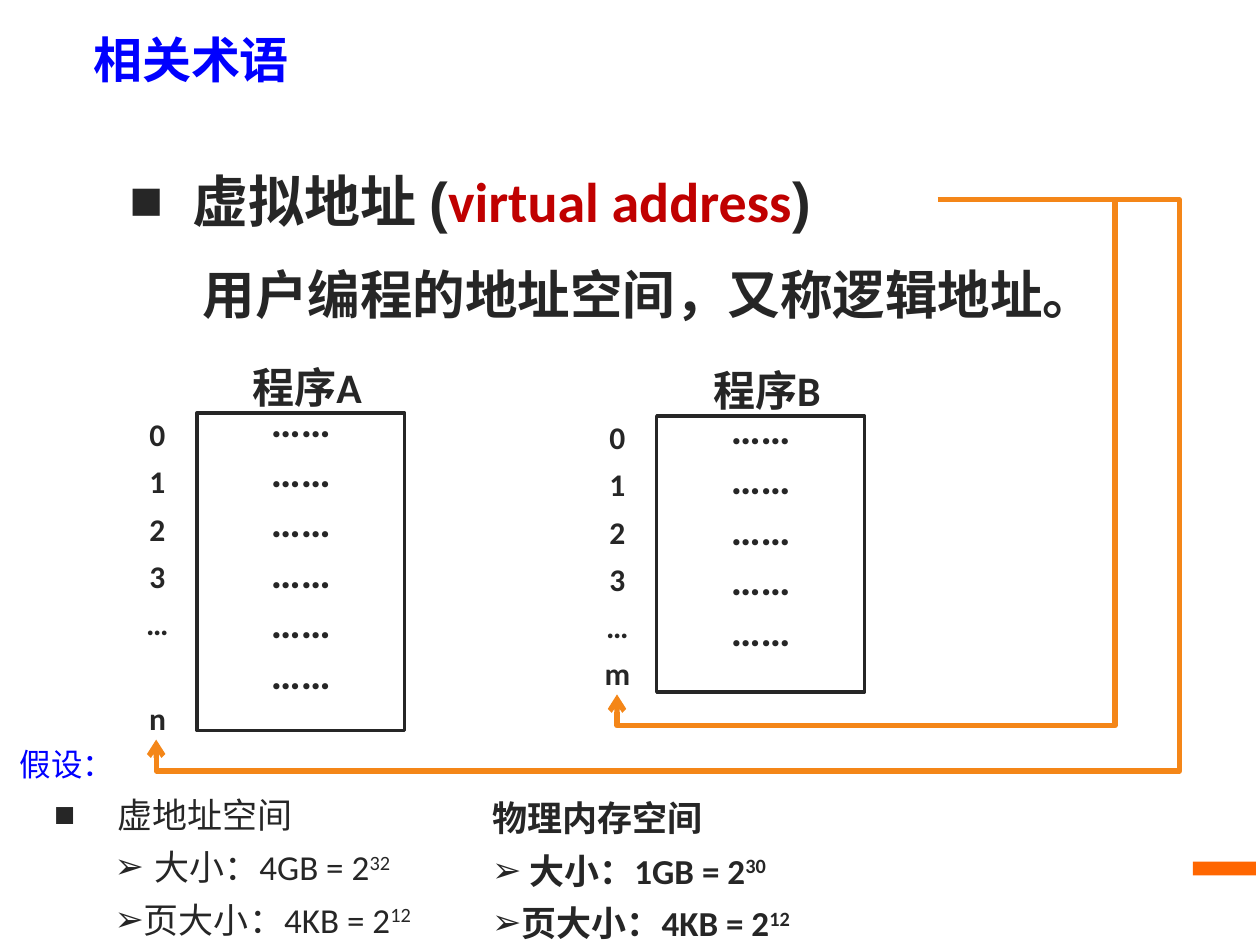
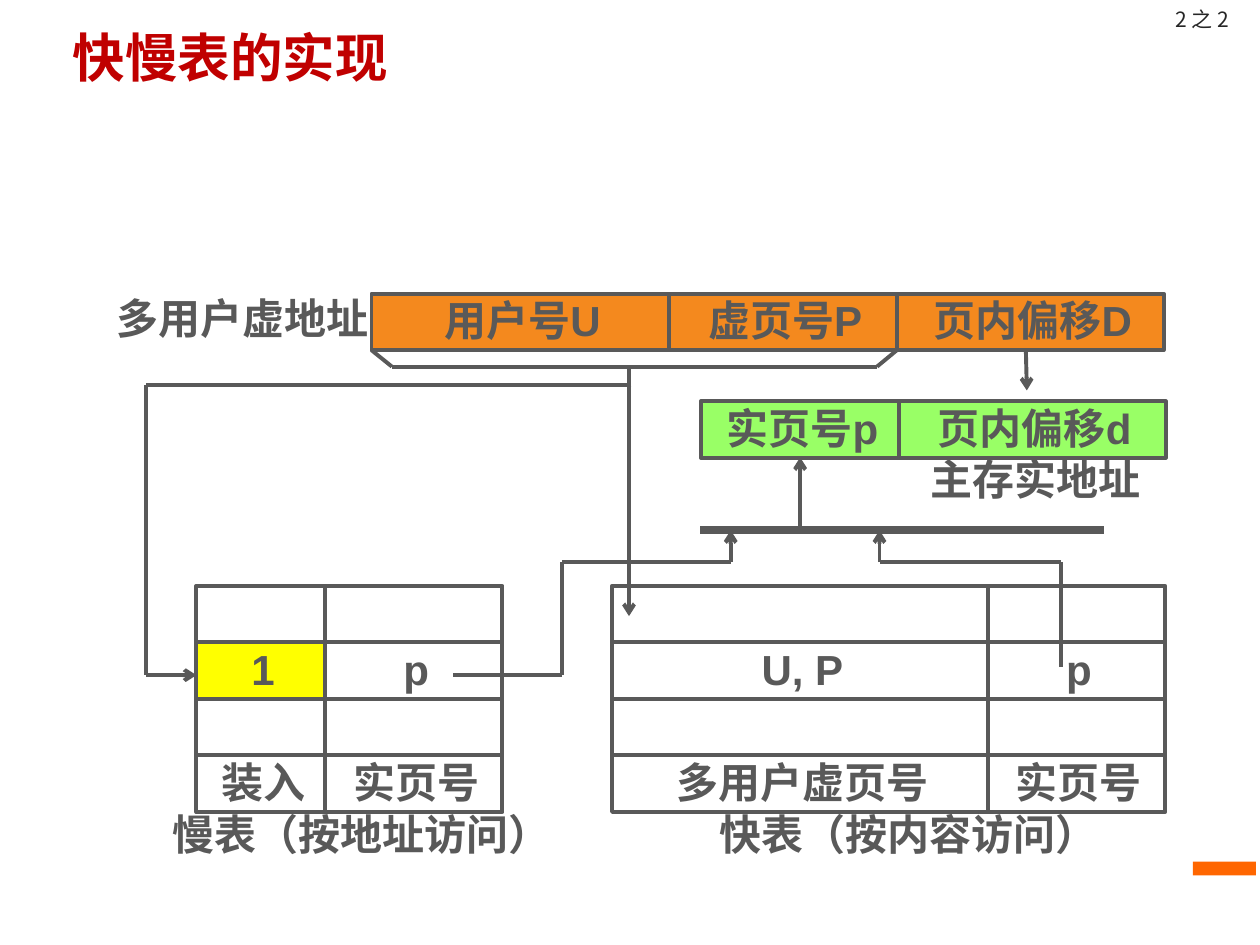
from itertools import pairwise

from lxml import etree
from pptx import Presentation
from pptx.dml.color import RGBColor
from pptx.enum.shapes import MSO_CONNECTOR, MSO_SHAPE
from pptx.enum.text import MSO_ANCHOR, PP_ALIGN
from pptx.oxml.ns import qn
from pptx.util import Cm, Pt

INK, GREY = "262626", "595959"
BLUE, RED = "0000FF", "C00000"
ORANGE, AMBER, BAR = "F48618", "F4891E", "FF6600"
GREEN, YELLOW = "99FF66", "FFFF00"
CJK = "Noto Sans CJK SC"
ROW = 1.14
BODY_INSETS = (0.25, 0.13, 0.25, 0.13)
CELL_INSETS = (0.2, 0.1, 0.1, 0)
CELL_TEXT = dict(size=24, name="Arial", color=GREY, bold=True)


def rgb(value):
    return RGBColor.from_string(value)


def add_xml(parent, tag, **values):
    node = etree.SubElement(parent, qn(tag))
    for key, value in values.items():
        node.set(key, str(value))
    return node


# Text
def format_font(font, size=None, color=None, **values):
    if size:
        values["size"] = Pt(size)
    for key, value in values.items():
        setattr(font, key, value)
    if color:
        font.color.rgb = rgb(color)


def add_span(para, text, raised=False, **style):
    span = para.add_run()
    span.text = text
    format_font(span.font, **style)
    properties = span.font._element
    add_xml(properties, "a:ea", typeface=CJK)
    if raised:
        properties.set("baseline", "30000")


def set_bullet(para, char, margin, indent):
    properties = para._p.get_or_add_pPr()
    properties.set("marL", str(Cm(margin)))
    properties.set("indent", str(Cm(indent)))
    if char:
        add_xml(properties, "a:buFont", typeface="Arial")
        add_xml(properties, "a:buChar", char=char)


def write(box, lines, align=PP_ALIGN.LEFT, spacing=None, anchor=MSO_ANCHOR.TOP,
          insets=BODY_INSETS, wrap=True, **style):
    """Each line is a string or a list of (text, style changes) spans."""
    frame = box.text_frame
    sides = ("left", "top", "right", "bottom")
    values = {f"margin_{side}": Cm(gap) for side, gap in zip(sides, insets)}
    values |= dict(word_wrap=wrap, vertical_anchor=anchor)
    for key, value in values.items():
        setattr(frame, key, value)
    for index, line in enumerate(lines):
        para = frame.add_paragraph() if index else frame.paragraphs[0]
        para.alignment = align
        if spacing:
            para.line_spacing = spacing
        for text, changes in [(line, {})] if isinstance(line, str) else line:
            add_span(para, text, **(style | changes))
    return frame.paragraphs


def add_text(page, area, lines, **style):
    box = page.shapes.add_textbox(*map(Cm, area))
    return write(box, lines, **style)


# Shapes and lines
def add_rect(page, area, fill=None, line=None, width=2.25):
    shape = page.shapes.add_shape(MSO_SHAPE.RECTANGLE, *map(Cm, area))
    shape.shadow.inherit = False
    if fill:
        shape.fill.solid()
        shape.fill.fore_color.rgb = rgb(fill)
    else:
        shape.fill.background()
    if line:
        shape.line.color.rgb = rgb(line)
        shape.line.width = Pt(width)
    else:
        shape.line.fill.background()
    return shape


def add_line(page, start, end, color=GREY, width=2.25, arrow=False,
             kind=MSO_CONNECTOR.STRAIGHT):
    line = page.shapes.add_connector(kind, *map(Cm, (*start, *end)))
    line.line.color.rgb = rgb(color)
    line.line.width = Pt(width)
    if arrow:
        add_xml(line.line._get_or_add_ln(), "a:tailEnd", type="arrow")
    add_xml(line._element.spPr, "a:effectLst")
    return line


def add_path(page, points, arrow=False, **style):
    legs = list(pairwise(points))
    for index, (start, end) in enumerate(legs, 1):
        add_line(page, start, end, arrow=arrow and index == len(legs), **style)


def add_return_arrow(page, start, corner, end):
    """Elbow that runs out to the corner and comes back up to its end."""
    line = add_line(page, start, end, ORANGE, 3, True, MSO_CONNECTOR.ELBOW)
    geometry = line._element.spPr.find(qn("a:prstGeom"))
    geometry.set("prst", "bentConnector4")
    guides = geometry.find(qn("a:avLst"))
    if guides is None:
        guides = add_xml(geometry, "a:avLst")
    for axis in (0, 1):
        ratio = (corner[axis] - start[axis]) / (end[axis] - start[axis])
        add_xml(guides, "a:gd", name=f"adj{axis + 1}",
                fmla=f"val {round(ratio * 100000)}")


# Shared slide frame
def new_page(deck, title, area, size, color):
    page = deck.slides.add_slide(deck.slide_layouts[6])
    add_rect(page, (24.05, 17.37, 1.27, 0.28), fill=BAR)
    add_text(page, area, [title], anchor=MSO_ANCHOR.MIDDLE,
             size=size, name=CJK, color=color, bold=True)
    return page


# Slide 1: terms
def program(page, left, top, height, letter, rows, labels):
    style = dict(align=PP_ALIGN.CENTER, color=INK, bold=True, name="Calibri")
    add_text(page, (left - 0.08, top - 1.42, 4.6, 1.42),
             [[("程序", {"name": "Arial"}), (letter, {})]],
             spacing=1.25, size=24, **style)
    memory = add_rect(page, (left, top, 4.19, height), line=INK, width=2)
    write(memory, ["……"] * rows, size=24, anchor=MSO_ANCHOR.MIDDLE,
          wrap=False, insets=(0.25, 0.13, 0.25, 1.16), **style)
    return add_text(page, (left - 1.95, top - 0.15, 2.31, height + 0.33), labels,
                    insets=(0, 0, 0, 0), spacing=1.25, size=18, **style)


def space_facts(page, area, heading, memory, power, base, bold):
    sizes = [("大小：" + memory + " = 2", power), ("页大小：4KB = 2", "12")]
    lines = [heading] + [[(text, {}), (digits, {"raised": True})]
                         for text, digits in sizes]
    paras = add_text(page, area, lines, spacing=1.25, size=20,
                     name="Calibri", color=INK, bold=bold)
    for para, gap in zip(paras[1:], (0.75, 0.5)):
        set_bullet(para, "➢", base + gap, -0.05 - gap)
    return paras


def terms_slide(deck):
    page = new_page(deck, "相关术语", (1.63, 0.23, 16.08, 1.9), 28, BLUE)

    # Definition
    style = dict(name="Arial", color=INK, bold=True)
    term = [("虚拟地址 (", {}),
            ("virtual address", {"name": "Calibri", "color": RED}), (")", {})]
    heading = add_text(page, (2.36, 3.22, 16.54, 1.63), [term], size=32, **style)
    set_bullet(heading[0], "■", 1.27, -1.27)
    meaning = add_text(page, (2.82, 4.84, 21.41, 1.65),
                       ["用户编程的地址空间，又称逻辑地址。"],
                       spacing=1.25, size=30, **style)
    set_bullet(meaning[0], None, 0, 1.02)

    # Program address spaces
    numbers = ["0", "1", "2", "3", "…"]
    labels = program(page, 3.97, 8.33, 6.4, "A", 6, numbers + ["n"])
    labels[-1].space_before = Pt(27)
    program(page, 13.24, 8.39, 5.56, "B", 5, numbers + ["m"])
    start = (18.91, 4.03)
    add_return_arrow(page, start, (23.78, 15.54), (3.15, 14.91))
    add_return_arrow(page, start, (22.48, 14.63), (12.44, 14))

    # Assumptions
    virtual = space_facts(page, (0.84, 15.65, 10.92, 3.4), "虚地址空间",
                          "4GB", "32", 1.27, False)
    set_bullet(virtual[0], "■", 1.27, -1.27)
    space_facts(page, (9.67, 15.72, 12.7, 3.38), "物理内存空间",
                "1GB", "30", 0, True)
    add_text(page, (0.15, 14.7, 2.44, 1.14), ["假设："], spacing=1.25,
             wrap=False, size=18, name="Calibri", color=BLUE)


# Slide 2: fast and slow page tables
def write_cell(box, text):
    write(box, [text], align=PP_ALIGN.CENTER, spacing=0.8, wrap=False,
          anchor=MSO_ANCHOR.MIDDLE, insets=CELL_INSETS, **CELL_TEXT)


def caption(page, area, text):
    write_cell(page.shapes.add_textbox(*map(Cm, area)), text)


def cell_row(page, left, top, widths, texts, fills):
    for width, text, fill in zip(widths, texts, fills):
        cell = add_rect(page, (left, top, width, ROW), fill, GREY)
        if text:
            write_cell(cell, text)
        left += width


def page_table(page, left, top, widths, entry, names, mark=None):
    blank = ("", "")
    for index, texts in enumerate((blank, entry, blank, names)):
        fills = (mark if index == 1 else None, None)
        cell_row(page, left, top + index * ROW, widths, texts, fills)


def wiring(page):
    bus = 10.69
    # Brace under user and virtual page numbers
    add_path(page, [(7.49, 7.06), (7.9, 7.39), (17.68, 7.39), (18.08, 7.06)])
    # Lookup, offset and result paths
    arrows = [
        [(12.68, 7.39), (12.68, 12.42)],
        [(12.73, 7.77), (2.95, 7.77), (2.95, 13.61), (3.96, 13.61)],
        [(20.68, 7.06), (20.7, 7.87)],
        [(9.14, 13.61), (11.33, 13.61), (11.33, 11.33), (14.73, 11.33),
         (14.73, bus)],
        [(21.39, 13.44), (21.39, 11.33), (17.73, 11.33), (17.73, bus)],
        [(16.13, bus), (16.13, 9.22)],
    ]
    for points in arrows:
        add_path(page, points, arrow=True)
    add_path(page, [(14.12, bus), (18.31, bus), (22.25, bus)], width=4.5)


def tables_slide(deck):
    page = new_page(deck, "快慢表的实现", (1.22, 0.2, 23.34, 1.9), 30, RED)

    # Virtual and real addresses
    cell_row(page, 7.49, 5.92, (5.99, 4.6, 5.38),
             ("用户号U", "虚页号P", "页内偏移D"), [AMBER] * 3)
    cell_row(page, 14.13, 8.09, (3.99, 5.38), ("实页号p", "页内偏移d"), [GREEN] * 2)

    # Slow table and fast table
    page_table(page, 3.96, 11.81, (2.59, 3.58), ("1", "p"),
               ("装入", "实页号"), YELLOW)
    page_table(page, 12.34, 11.81, (7.57, 3.58), ("U, P", "p"),
               ("多用户虚页号", "实页号"))
    wiring(page)

    # Captions, each wide enough for one line
    caption(page, (1.83, 5.56, 6, 1.78), "多用户虚地址")
    caption(page, (17.82, 9.22, 6, 0.97), "主存实地址")
    for left, text in ((2.74, "慢表（按地址访问）"), (13.76, "快表（按内容访问）")):
        caption(page, (left, 16.36, 9, 0.97), text)

    # Page count
    add_text(page, (23.06, 0, 2.34, 0.76), ["2 之 2"], align=PP_ALIGN.CENTER,
             size=12, name=CJK, color=INK)


def main():
    deck = Presentation()
    deck.slide_width, deck.slide_height = Cm(25.4), Cm(19.05)
    terms_slide(deck)
    tables_slide(deck)
    deck.save("out.pptx")


if __name__ == "__main__":
    main()
